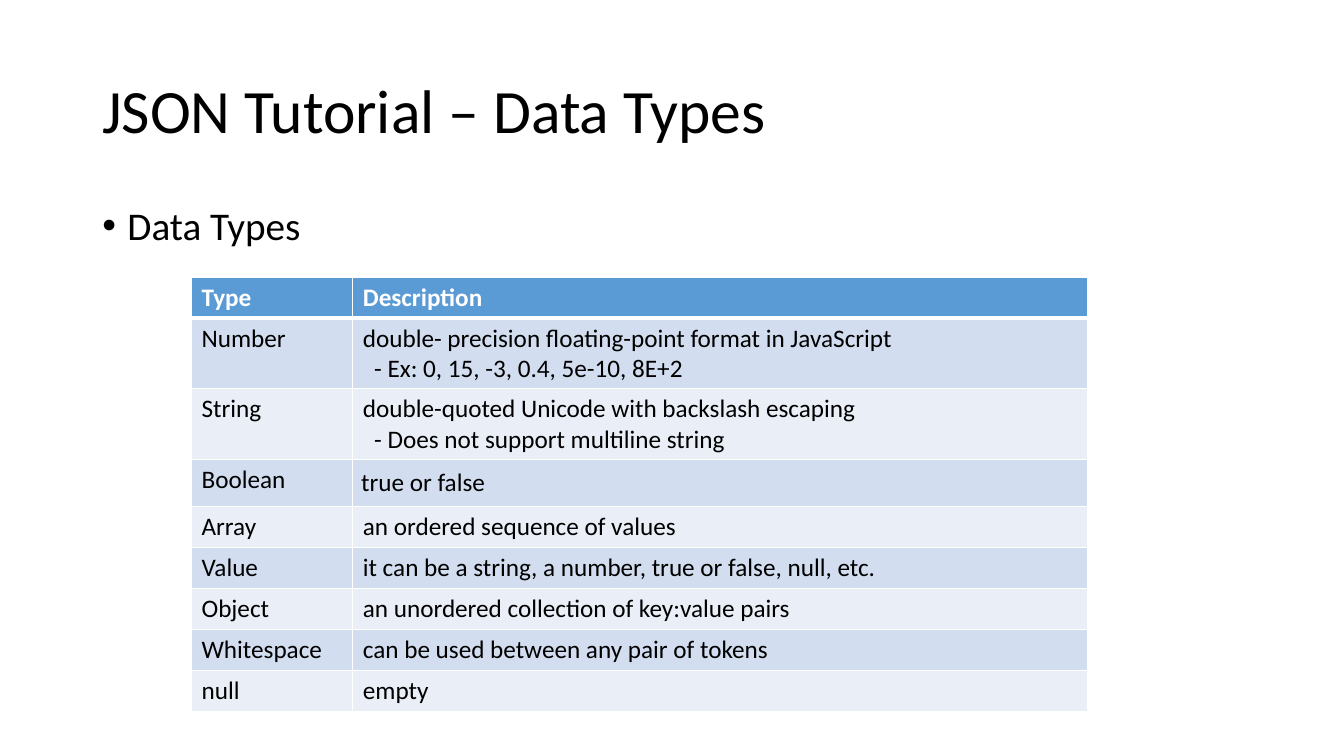
"""Build the slide that lists the JSON data types in a table."""
from dataclasses import dataclass

from lxml.etree import SubElement
from pptx import Presentation
from pptx.dml.color import RGBColor
from pptx.enum.text import MSO_ANCHOR
from pptx.oxml.ns import qn
from pptx.slide import Slide
from pptx.table import Table, _Cell
from pptx.text.text import TextFrame, _Paragraph
from pptx.util import Pt

FONT = "Calibri"
COLORS = {
    "text": "000000",
    "white": "FFFFFF",
    "header": "5B9BD5",
    "band_dark": "D2DEEF",
    "band_light": "EAEFF7",
}
COLUMN_WIDTHS = (115.2, 524.9)
NOTE_INDENT = 8.1


@dataclass(frozen=True)
class DataType:
    name: str
    description: str
    note: str = ""
    height: float = 29.2
    inset: float = 0


HEADER = DataType("Type", "Description")
DATA_TYPES = (
    DataType("Number", "double- precision floating-point format in JavaScript",
             "- Ex: 0, 15, -3, 0.4, 5e-10, 8E+2", height=50.4),
    DataType("String", "double-quoted Unicode with backslash escaping",
             "- Does not support multiline string", height=50.4),
    DataType("Boolean", "true or false", height=34, inset=6),
    DataType("Array", "an ordered sequence of values"),
    DataType("Value", "it can be a string, a number, true or false, null, etc."),
    DataType("Object", "an unordered collection of key:value pairs"),
    DataType("Whitespace", "can be used between any pair of tokens"),
    DataType("null", "empty"),
)


def write(para: _Paragraph, text: str, size: float, color: str = "text", bold: bool = False) -> None:
    para.text = text
    para.font.name = FONT
    para.font.size = Pt(size)
    para.font.bold = bold
    para.font.color.rgb = RGBColor.from_string(COLORS[color])


def indent(para: _Paragraph, margin: float, hanging: float = 0, bullet: str = "") -> None:
    properties = para._p.get_or_add_pPr()
    properties.set("marL", str(Pt(margin)))
    properties.set("indent", str(Pt(-hanging)))
    if bullet:
        SubElement(properties, qn("a:buFont"), typeface="Arial")
        SubElement(properties, qn("a:buChar"), char=bullet)


def add_text_box(page: Slide, top: float, height: float, anchor: MSO_ANCHOR) -> TextFrame:
    box = page.shapes.add_textbox(Pt(66), Pt(top), Pt(828), Pt(height))
    frame = box.text_frame
    frame.word_wrap = True
    frame.vertical_anchor = anchor
    frame.paragraphs[0].line_spacing = 0.9
    return frame


def style_cell(cell: _Cell, fill: str, top_border: float, bottom_border: float) -> None:
    properties = cell._tc.get_or_add_tcPr()
    borders = {"lnL": 1, "lnR": 1, "lnT": top_border, "lnB": bottom_border}
    for side, width in borders.items():
        line = SubElement(properties, qn(f"a:{side}"), w=str(Pt(width)))
        solid = SubElement(line, qn("a:solidFill"))
        SubElement(solid, qn("a:srgbClr"), val=COLORS["white"])
    cell.fill.solid()
    cell.fill.fore_color.rgb = RGBColor.from_string(COLORS[fill])


def fill_row(table: Table, index: int, entry: DataType) -> None:
    is_header = index == 0
    fill = "header" if is_header else ("band_light", "band_dark")[index % 2]
    color = "white" if is_header else "text"
    table.rows[index].height = Pt(entry.height)
    name_cell, description_cell = table.rows[index].cells
    for cell, text in ((name_cell, entry.name), (description_cell, entry.description)):
        style_cell(cell, fill, 3 if index == 1 else 1, 3 if is_header else 1)
        write(cell.text_frame.paragraphs[0], text, 18, color, is_header)
    if entry.note:
        para = description_cell.text_frame.add_paragraph()
        indent(para, NOTE_INDENT)
        write(para, entry.note, 18)
    if entry.inset:
        for side in ("left", "top", "right", "bottom"):
            setattr(description_cell, f"margin_{side}", Pt(entry.inset))


def add_type_table(page: Slide) -> None:
    entries = (HEADER, *DATA_TYPES)
    height = sum(entry.height for entry in entries)
    frame = page.shapes.add_table(len(entries), len(COLUMN_WIDTHS), Pt(136.8), Pt(198),
                                  Pt(sum(COLUMN_WIDTHS)), Pt(height))
    table = frame.table
    table.horz_banding = False
    for column, width in zip(table.columns, COLUMN_WIDTHS):
        column.width = Pt(width)
    for index, entry in enumerate(entries):
        fill_row(table, index, entry)


def main() -> None:
    deck = Presentation()
    deck.slide_width, deck.slide_height = Pt(960), Pt(540)
    page = deck.slides.add_slide(deck.slide_layouts[6])

    title = add_text_box(page, 28.8, 104.4, MSO_ANCHOR.MIDDLE)
    write(title.paragraphs[0], "JSON Tutorial – Data Types", 44)

    body = add_text_box(page, 144, 342.7, MSO_ANCHOR.TOP)
    topic = body.paragraphs[0]
    topic.space_before = Pt(10)
    indent(topic, 18, 18, "•")
    write(topic, "Data Types", 28)

    add_type_table(page)
    deck.save("out.pptx")


main()
